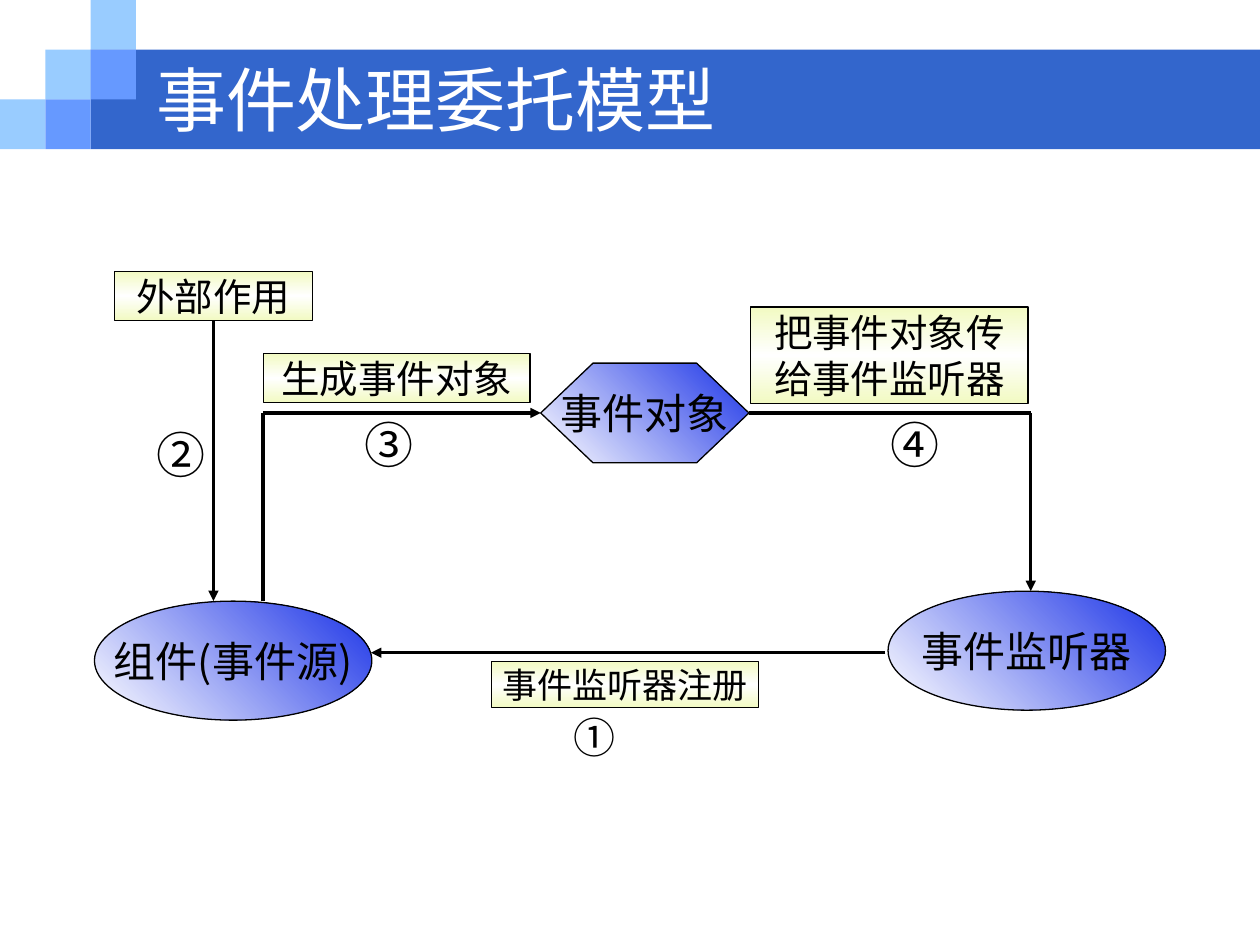
from lxml import etree
from pptx import Presentation
from pptx import util as u
from pptx.dml.color import RGBColor
from pptx.enum import shapes, text
from pptx.oxml import ns

Pt = u.Pt
SHAPE = shapes.MSO_SHAPE
BLUE = [(0, "FFFFFF"), (100, "1B33E7")]
LIME = [(0, "F2FAC2"), (50, "FFFFFF"), (100, "F2FAC2")]


def rgb(value):
    return RGBColor.from_string(value)


def sub(parent, tag, **attrs):
    return etree.SubElement(parent, ns.qn(tag), attrs)


class Deck:
    font = "Noto Sans CJK SC"
    ink = "000000"

    def __init__(self, prs):
        self.s = prs.slides.add_slide(prs.slide_layouts[5])

    def set_text(self, sp, words, size, color=ink, align=text.PP_ALIGN.CENTER,
                 wrap=True, insets=(1.5, 0.75), spacing=None):
        tf = sp.text_frame
        tf.text = words
        tf.word_wrap = wrap
        tf.auto_size = text.MSO_AUTO_SIZE.NONE
        tf.vertical_anchor = text.MSO_ANCHOR.MIDDLE
        tf.margin_left = tf.margin_right = Pt(insets[0])
        tf.margin_top = tf.margin_bottom = Pt(insets[1])
        for p in tf.paragraphs:
            p.alignment = align
            if spacing:
                p.line_spacing = Pt(spacing)
            for r in p.runs:
                r.font.size = Pt(size)
                r.font.name = self.font
                r.font.color.rgb = rgb(color)
                sub(r._r.get_or_add_rPr(), "a:ea", typeface=self.font)

    def title(self, words, x, y, w, h):
        sp = self.s.shapes.title
        sp.left, sp.top, sp.width, sp.height = map(Pt, (x, y, w, h))
        self.set_text(sp, words, 40, "FFFFFF", text.PP_ALIGN.LEFT, insets=(7.2, 3.6))
        sp.element.getparent().append(sp.element)  # in front of the banner

    def shape(self, kind, x, y, w, h):
        sp = self.s.shapes.add_shape(kind, *map(Pt, (x, y, w, h)))
        sp.shadow.inherit = False
        return sp

    def block(self, color, x, y, w, h):
        sp = self.shape(SHAPE.RECTANGLE, x, y, w, h)
        sp.fill.solid()
        sp.fill.fore_color.rgb = rgb(color)
        sp.line.fill.background()

    def gradient(self, sp, stops, angle):
        sp.fill.gradient()
        sp.fill.gradient_angle = angle
        stop_list = sp.element.spPr.find(".//" + ns.qn("a:gsLst"))
        for old in list(stop_list):
            stop_list.remove(old)
        for pos, color in stops:
            gs = sub(stop_list, "a:gs", pos=str(pos * 1000))
            sub(gs, "a:srgbClr", val=color)
        sp.line.color.rgb = rgb(self.ink)
        sp.line.width = Pt(0.75)

    def node(self, kind, words, x, y, w, h):
        sp = self.shape(kind, x, y, w, h)
        self.gradient(sp, BLUE, 45)
        self.set_text(sp, words, 24, wrap=False)
        return sp

    def label(self, words, x, y, w, h, size=22):
        sp = self.shape(SHAPE.RECTANGLE, x, y, w, h)
        self.gradient(sp, LIME, 90)
        self.set_text(sp, words, size, spacing=26.5 if "\n" in words else None)
        return sp

    def number(self, words, x, y, h=35, size=28):
        sp = self.s.shapes.add_textbox(*map(Pt, (x, y, 28, h)))
        self.set_text(sp, words, size)

    def line(self, x1, y1, x2, y2, width=1.75, arrow=True, start=None):
        c = self.s.shapes.add_connector(
            shapes.MSO_CONNECTOR.STRAIGHT, *map(Pt, (x1, y1, x2, y2)))
        if start is not None:
            c.begin_connect(start, 2)
        c.line.color.rgb = rgb(self.ink)
        c.line.width = Pt(width)
        if arrow:
            sub(c.element.spPr.find(ns.qn("a:ln")), "a:tailEnd", type="triangle")
        sub(c.element.spPr, "a:effectLst")


def main():
    prs = Presentation()
    prs.slide_width, prs.slide_height = Pt(720), Pt(540)
    d = Deck(prs)

    # Banner with its staircase of tiles
    tile_w, tile_h = 25.9, 28.4
    d.block("3366CC", 2 * tile_w, tile_h, 720 - 2 * tile_w, 2 * tile_h)
    for color, cells in (("99CCFF", [(0, 2), (1, 1), (2, 0)]),
                         ("6699FF", [(2, 1), (1, 2)])):
        for col, row in cells:
            d.block(color, col * tile_w, row * tile_h, tile_w, tile_h)
    d.title("事件处理委托模型", 82, 26, 474.5, 60)

    # Source, event and listener
    d.node(SHAPE.OVAL, "组件(事件源)", 54, 343.5, 158.5, 68)
    d.node(SHAPE.OVAL, "事件监听器", 507.5, 337.8, 158.5, 68)
    event = d.node(SHAPE.HEXAGON, "事件对象", 309, 207.5, 119, 57)
    event.adjustments[0] = 0.525

    # Step labels
    d.label("事件监听器注册", 281, 378, 152.5, 26.5, size=20)
    outside = d.label("外部作用", 65.5, 155, 113, 28.2)
    d.label("生成事件对象", 150.5, 202, 152.5, 28.2)
    d.label("把事件对象传\n给事件监听器", 429, 175.5, 158.5, 55)

    # Arrows
    event_y, source_x, listener_x = 236, 150.5, 589
    d.line(506, 373, 212, 373, width=1.5)
    d.line(122, 183.2, 122, 343.5, start=outside)
    d.line(source_x, event_y, source_x, 343.5, width=2.25, arrow=False)
    d.line(source_x, event_y, 309, event_y)
    d.line(428, event_y, listener_x, event_y, arrow=False)
    d.line(listener_x, event_y, listener_x, 337.8)

    # Step numbers
    d.number("①", 326, 406, h=30, size=24)
    d.number("②", 88, 242)
    d.number("③", 207, 236)
    d.number("④", 507.5, 236)

    prs.save("out.pptx")


if __name__ == "__main__":
    main()
